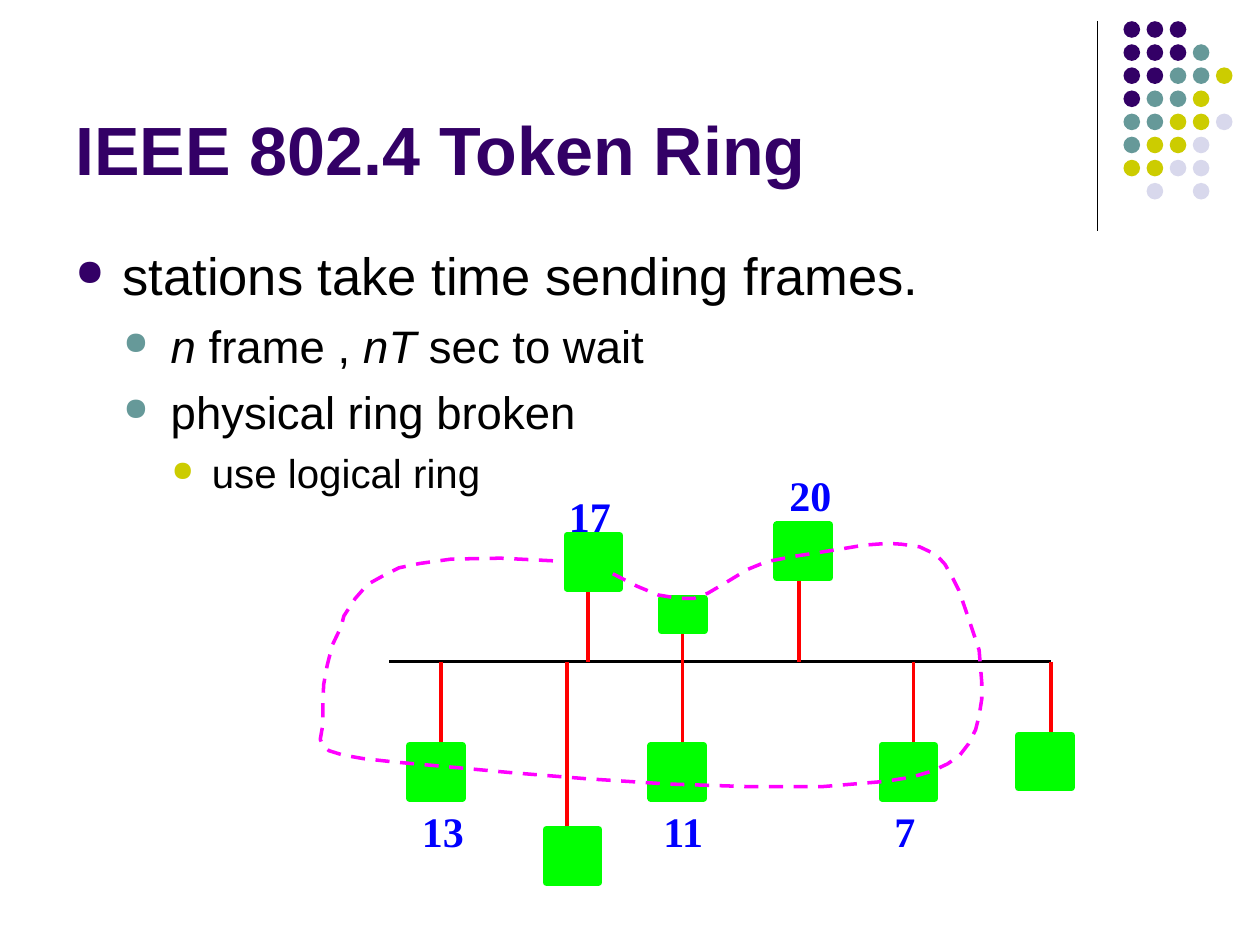
import pptx
import pptx.util
import pptx.dml.color
import pptx.enum.dml
import pptx.enum.shapes
import pptx.enum.text
from lxml import etree
from pptx.oxml.ns import qn

Pt = pptx.util.Pt

THEME = {
    "purple": "330066", "teal": "669999", "olive": "CCCC00", "lavender": "D8D8EC",
    "black": "000000", "red": "FF0000", "green": "00FF00", "magenta": "FF00FF", "blue": "0000FF",
    "font": "Arial", "label_font": "Times New Roman",
    "title_size": 39, "label_size": 24, "bullet_percent": 70,
}

TITLE = "IEEE 802.4 Token Ring"
# (level, [(text, italic), ...])
BULLETS = [
    (0, [("stations take time sending frames.", False)]),
    (1, [("n", True), (" frame , ", False), ("nT", True), (" sec to wait", False)]),
    (1, [("physical ring broken", False)]),
    (2, [("use logical ring", False)]),
]
# level: (text size, left indent, hanging indent, space before, bullet colour)
LEVELS = [(30, 27, 27, 7.5, "purple"), (26, 54.5, 27, 6.5, "teal"), (23, 78, 23, 5.8, "olive")]

DOT_ROWS = ["PPP", "PPPT", "PPTTO", "PTTO", "TTOOL", "TOOL", "OOLL", " L L"]
DOT_COLOURS = {"P": "purple", "T": "teal", "O": "olive", "L": "lavender"}
DOT_LEFT, DOT_TOP, DOT_PITCH, DOT_SIZE = 642, 12.1, 13.2, 9.5

BUS_Y, BUS_LEFT, BUS_RIGHT = 378, 222.5, 600.5
STUBS = [  # x, top, bottom
    (252, BUS_Y, 426), (324, BUS_Y, 474.5), (336, 330.5, BUS_Y), (390, 360, 426),
    (456.5, 330.5, BUS_Y), (522, BUS_Y, 426), (600.5, BUS_Y, 426),
]
STATION_SIZE = (30.2, 30.2)
SMALL_STATION_SIZE = (24.5, 18.5)
STATIONS = [  # left, top, size
    (234, 426, STATION_SIZE), (312, 474, STATION_SIZE), (324, 306, STATION_SIZE),
    (372, 426, STATION_SIZE), (378, 342, SMALL_STATION_SIZE), (444, 300, STATION_SIZE),
    (504, 426, STATION_SIZE), (582, 420, STATION_SIZE),
]
LABELS = [("13", 234, 456.5), ("11", 372, 456.5), ("7", 504, 456.5),
          ("20", 444, 264.5), ("17", 318, 276.5)]
LOGICAL_RING = [
    (316, 320.5), (286, 319), (258, 319.5), (240, 322), (228, 324.5), (219, 329), (210, 334),
    (203, 342), (196.5, 352), (195, 358), (190, 368.5), (187, 380), (185, 391), (184.5, 400),
    (184.5, 414), (183, 422.5), (184.5, 426), (188, 429), (196, 431.5), (207.5, 433.5),
    (226, 435.5), (254, 438), (291.5, 441.5), (335, 445), (381.5, 448), (427.5, 449.5),
    (470, 449.5), (506, 446.5), (521.5, 444), (533, 440.5), (541.5, 436.5), (548.5, 431.5),
    (553.5, 425), (557.5, 417), (559.5, 409), (561, 399.5), (561, 390), (559.5, 371.5),
    (553.5, 353.5), (548, 337.5), (544.5, 330.5), (540, 322.5), (535, 317), (525.5, 312.5),
    (515, 311), (507.5, 310.5), (494, 311.5), (479, 314), (453.5, 318), (438, 321),
    (427, 325.5), (415.5, 332.5), (404.5, 339), (396.5, 342), (388, 342), (376, 340),
    (364, 335), (346.5, 326),
]


def colour(name):
    return pptx.dml.color.RGBColor.from_string(THEME[name])


def add_line(slide, start, end, colour_name, width):
    line = slide.shapes.add_connector(
        pptx.enum.shapes.MSO_CONNECTOR.STRAIGHT, *(Pt(v) for v in start + end))
    line.line.color.rgb = colour(colour_name)
    line.line.width = Pt(width)
    etree.SubElement(line._element.spPr, qn("a:effectLst"))


def add_filled(slide, preset, left, top, size, colour_name, outline=0):
    shape = slide.shapes.add_shape(preset, Pt(left), Pt(top), *(Pt(v) for v in size))
    shape.shadow.inherit = False
    shape.fill.solid()
    shape.fill.fore_color.rgb = colour(colour_name)
    if outline:
        shape.line.color.rgb = colour(colour_name)
        shape.line.width = Pt(outline)
    else:
        shape.line.fill.background()


def add_box(slide, left, top, width, height):
    box = slide.shapes.add_textbox(Pt(left), Pt(top), Pt(width), Pt(height))
    box.text_frame.word_wrap = True
    return box.text_frame


def style(span, size, colour_name, font="font", bold=False, italic=False):
    span.font.name = THEME[font]
    span.font.size = Pt(size)
    span.font.color.rgb = colour(colour_name)
    span.font.bold = bold
    span.font.italic = italic


def set_bullet(para, left, hanging, colour_name):
    props = para._p.get_or_add_pPr()
    props.set("marL", str(Pt(left)))
    props.set("indent", str(-Pt(hanging)))
    tint = etree.SubElement(props, qn("a:buClr"))
    etree.SubElement(tint, qn("a:srgbClr"), val=THEME[colour_name])
    etree.SubElement(props, qn("a:buSzPct"), val=str(THEME["bullet_percent"] * 1000))
    etree.SubElement(props, qn("a:buChar"), char="●")


def add_dots(slide):
    for row, marks in enumerate(DOT_ROWS):
        for column, mark in enumerate(marks):
            if mark in DOT_COLOURS:
                add_filled(slide, pptx.enum.shapes.MSO_SHAPE.OVAL,
                           DOT_LEFT + column * DOT_PITCH, DOT_TOP + row * DOT_PITCH,
                           (DOT_SIZE, DOT_SIZE), DOT_COLOURS[mark])


def add_text(slide):
    frame = add_box(slide, 36, 9.5, 594, 102)
    frame.vertical_anchor = pptx.enum.text.MSO_ANCHOR.BOTTOM
    frame.text = TITLE
    style(frame.paragraphs[0].runs[0], THEME["title_size"], "purple", bold=True)

    frame = add_box(slide, 36, 135.5, 648, 347)
    for index, (level, spans) in enumerate(BULLETS):
        para = frame.add_paragraph() if index else frame.paragraphs[0]
        size, left, hanging, before, bullet_colour = LEVELS[level]
        para.level = level
        set_bullet(para, left, hanging, bullet_colour)
        if index:
            para.space_before = Pt(before)
        for text, italic in spans:
            span = para.add_run()
            span.text = text
            style(span, size, "black", italic=italic)


def add_network(slide):
    add_line(slide, (BUS_LEFT, BUS_Y), (BUS_RIGHT, BUS_Y), "black", 2)
    for x, top, bottom in STUBS:
        add_line(slide, (x, top), (x, bottom), "red", 2)
    for left, top, size in STATIONS:
        add_filled(slide, pptx.enum.shapes.MSO_SHAPE.RECTANGLE, left, top, size, "green", 4)

    points = [(Pt(x), Pt(y)) for x, y in LOGICAL_RING]
    builder = slide.shapes.build_freeform(*points[0])
    builder.add_line_segments(points[1:], close=False)
    ring = builder.convert_to_shape()
    ring.shadow.inherit = False
    ring.fill.background()
    ring.line.color.rgb = colour("magenta")
    ring.line.width = Pt(2)
    ring.line.dash_style = pptx.enum.dml.MSO_LINE.DASH

    for text, left, top in LABELS:
        frame = add_box(slide, left, top, 48, 36)
        frame.text = text
        style(frame.paragraphs[0].runs[0], THEME["label_size"], "blue", "label_font", bold=True)


def main():
    deck = pptx.Presentation()
    deck.slide_width, deck.slide_height = Pt(720), Pt(540)
    slide = deck.slides.add_slide(deck.slide_layouts[6])
    add_line(slide, (627, 12), (627, 132), "black", 0.75)
    add_dots(slide)
    add_text(slide)
    add_network(slide)
    deck.save("out.pptx")


if __name__ == "__main__":
    main()
